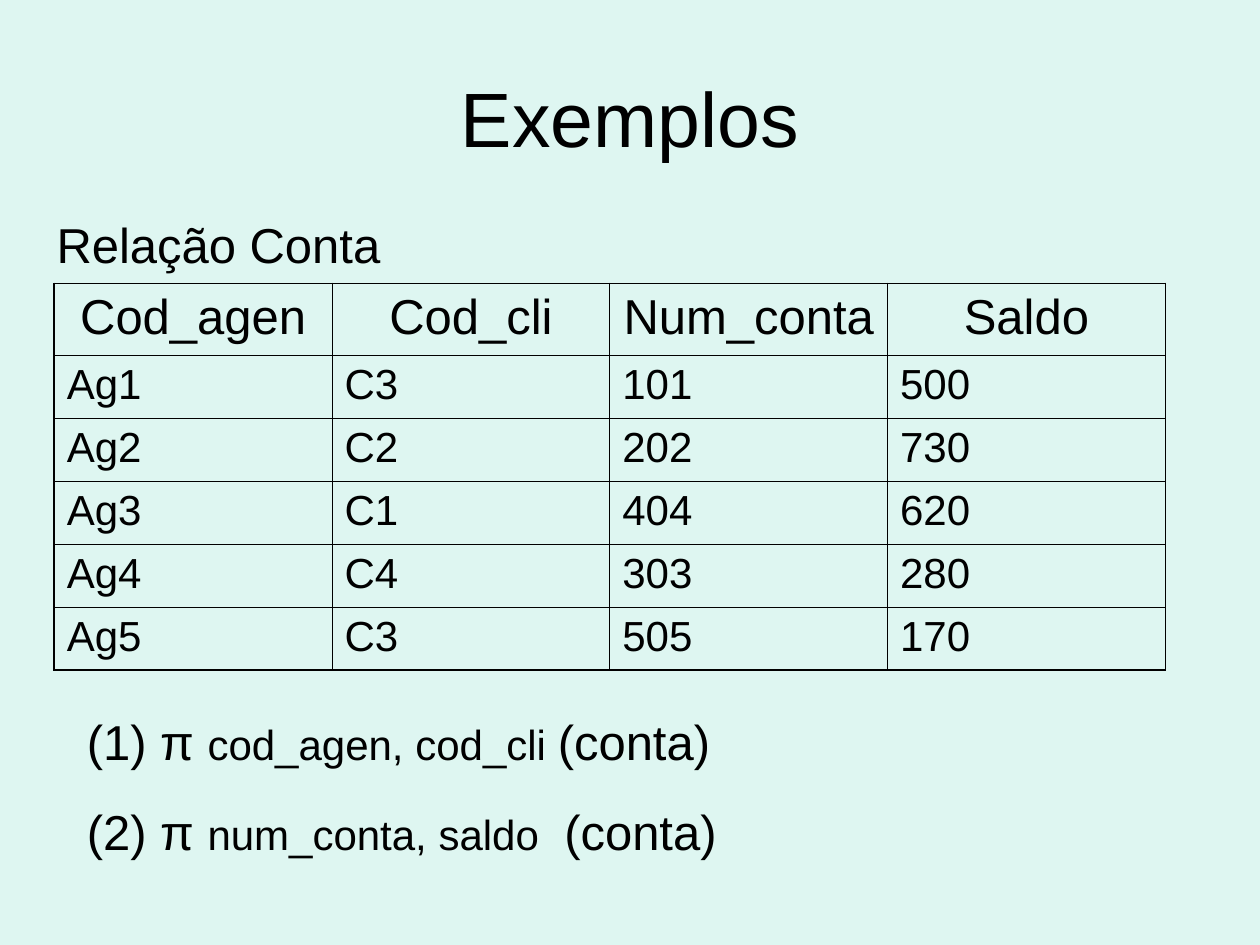
from lxml.etree import SubElement
from pptx import Presentation
from pptx.dml.color import RGBColor
from pptx.enum.text import MSO_ANCHOR, PP_ALIGN
from pptx.oxml.ns import qn
from pptx.util import Inches, Pt

BLACK = "000000"
OUTER_LINE, INNER_LINE = Pt(1.08), Pt(0.45)


def style(font, size, color=BLACK):
    font.name = "Arial"
    font.size = Pt(size)
    font.color.rgb = RGBColor.from_string(color)


def add_border(cell, side, width, color=BLACK):
    """Add one cell border; call in the order L, R, T, B, before the fill."""
    line = SubElement(cell._tc.get_or_add_tcPr(), qn(f"a:ln{side}"), w=str(width))
    fill = SubElement(line, qn("a:solidFill"))
    SubElement(fill, qn("a:srgbClr"), val=color)


deck = Presentation()
deck.slide_width, deck.slide_height = Inches(10), Inches(7.5)
page = deck.slides.add_slide(deck.slide_layouts[5])
page.background.fill.solid()
page.background.fill.fore_color.rgb = RGBColor.from_string("DEF6F1")

# Title
title = page.shapes.title
title.left, title.top = Inches(0.5), Inches(0.3)
title.width, title.height = Inches(9), Inches(1.25)
title.text_frame.text = "Exemplos"
title.text_frame.vertical_anchor = MSO_ANCHOR.MIDDLE
para = title.text_frame.paragraphs[0]
para.alignment = PP_ALIGN.CENTER
style(para.font, 44)

# Account table
rows = [
    ("Cod_agen", "Cod_cli", "Num_conta", "Saldo"),
    ("Ag1", "C3", "101", "500"),
    ("Ag2", "C2", "202", "730"),
    ("Ag3", "C1", "404", "620"),
    ("Ag4", "C4", "303", "280"),
    ("Ag5", "C3", "505", "170"),
]
last_row, last_col = len(rows) - 1, len(rows[0]) - 1
table = page.shapes.add_table(
    len(rows), len(rows[0]), Inches(0.43), Inches(2.25), Inches(8.82), Inches(3.07)
).table
table.first_row = table.horz_banding = False

for r, values in enumerate(rows):
    header = r == 0
    table.rows[r].height = Inches(0.57 if header else 0.5)
    for c, value in enumerate(values):
        cell = table.cell(r, c)
        cell.text = value
        para = cell.text_frame.paragraphs[0]
        para.alignment = PP_ALIGN.CENTER if header else PP_ALIGN.LEFT
        style(para.font, 28 if header else 24)
        edges = {"L": c == 0, "R": c == last_col, "T": header, "B": r == last_row}
        for side, is_outer in edges.items():
            add_border(cell, side, OUTER_LINE if is_outer else INNER_LINE)
        cell.fill.background()

# Table caption
caption = page.shapes.add_textbox(Inches(0.35), Inches(1.65), Inches(3.78), Inches(0.57))
caption.text_frame.word_wrap = True
caption.text_frame.text = "Relação Conta"
style(caption.text_frame.paragraphs[0].font, 28)

# Projection examples
examples = [
    [("(1) π ", 28), ("cod_agen, cod_cli ", 24), ("(conta)", 28)],
    [("(2) π ", 28), ("num_conta, saldo ", 24), (" (conta)", 28)],
]
box = page.shapes.add_textbox(Inches(0.59), Inches(5.6), Inches(8.58), Inches(1.28))
frame = box.text_frame
frame.word_wrap = True
for i, spans in enumerate(examples):
    para = frame.add_paragraph() if i else frame.paragraphs[0]
    if i:
        para.space_before = Pt(17.5)
    for text, size in spans:
        span = para.add_run()
        span.text = text
        style(span.font, size)

deck.save("out.pptx")
